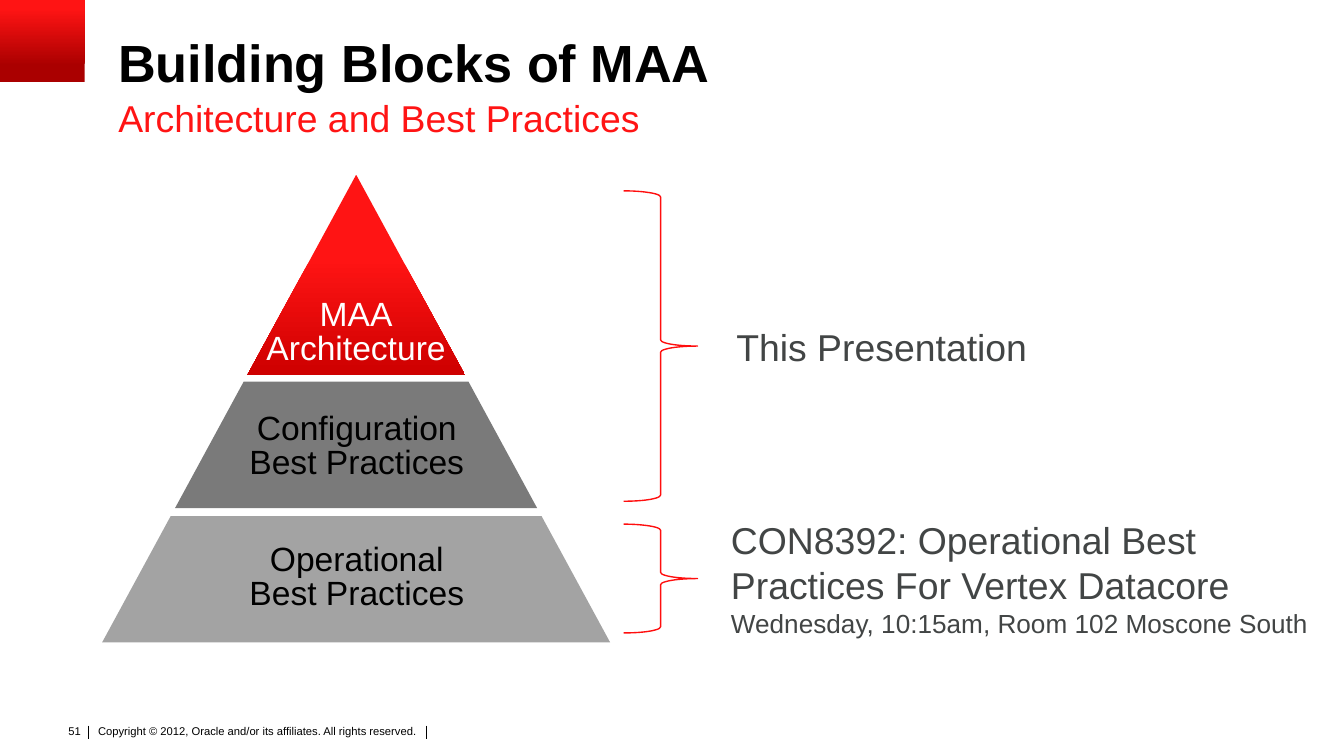
from lxml.etree import SubElement
from pptx import Presentation
from pptx.dml.color import RGBColor
from pptx.enum.shapes import MSO_CONNECTOR, MSO_SHAPE
from pptx.enum.text import MSO_ANCHOR as Anchor, MSO_AUTO_SIZE as AutoSize, PP_ALIGN as Align
from pptx.oxml.ns import qn
from pptx.util import Inches, Pt

APEX_X, APEX_Y, BASE_Y, HALF_BASE = 2.65, 1.3, 4.78, 1.89


def color(value):
    """Turn a hex string into a colour."""
    return RGBColor.from_string(value)


def write(para, text, size=18, ink="000000", bold=False, align=Align.LEFT, spacing=None):
    """Fill a paragraph with formatted text, breaking lines at newlines."""
    para.alignment = align
    para.space_before = Pt(0)
    if spacing:
        para.line_spacing = spacing
    for index, line in enumerate(text.split("\n")):
        if index:
            para.add_line_break()
        span = para.add_run()
        span.text = line
        span.font.name = "Arial"
        span.font.size = Pt(size)
        span.font.bold = bold
        span.font.color.rgb = color(ink)


def set_insets(frame, side, end):
    """Set the horizontal and vertical insets of a text frame."""
    frame.margin_left = frame.margin_right = Inches(side)
    frame.margin_top = frame.margin_bottom = Inches(end)


def add_text(page, at, lines, wrap=True, anchor=Anchor.TOP, insets=(0.1, 0.05), **style):
    """Add a text box with one paragraph per (text, size) pair."""
    box = page.shapes.add_textbox(*map(Inches, at))
    frame = box.text_frame
    frame.word_wrap = wrap
    frame.vertical_anchor = anchor
    set_insets(frame, *insets)
    for index, (text, size) in enumerate(lines):
        para = frame.add_paragraph() if index else frame.paragraphs[0]
        write(para, text, size, **style)


def fill_placeholder(box, at, text, **style):
    """Move a placeholder and give it one unbulleted line of text."""
    box.left, box.top, box.width, box.height = map(Inches, at)
    frame = box.text_frame
    frame.auto_size = AutoSize.NONE
    frame.vertical_anchor = Anchor.MIDDLE
    set_insets(frame, 0, 0)
    para = frame.paragraphs[0]
    properties = para._p.get_or_add_pPr()
    properties.set("marL", "0")
    properties.set("indent", "0")
    SubElement(properties, qn("a:buNone"))
    write(para, text, **style)


def paint(shape, fill):
    """Apply a plain colour, or an (angle, stops) gradient, without outline."""
    shape.shadow.inherit = False
    shape.line.fill.background()
    if isinstance(fill, str):
        shape.fill.solid()
        shape.fill.fore_color.rgb = color(fill)
        return
    angle, stops = fill
    shape.fill.gradient()
    shape.fill.gradient_angle = angle
    for stop, (position, value) in zip(shape.fill.gradient_stops, stops):
        stop.position = position
        stop.color.rgb = color(value)


def add_band(page, top, bottom, fill):
    """Add the slice of the pyramid between two heights."""
    slope = HALF_BASE / (BASE_Y - APEX_Y)
    upper, lower = ((y - APEX_Y) * slope for y in (top, bottom))
    corners = [(APEX_X + upper, top), (APEX_X + lower, bottom),
               (APEX_X - lower, bottom), (APEX_X - upper, top)]
    points = [(Inches(x), Inches(y)) for x, y in corners]
    builder = page.shapes.build_freeform(*points[0])
    builder.add_line_segments(points[1:], close=True)
    paint(builder.convert_to_shape(), fill)


def add_brace(page, top, height):
    """Add a red right brace beside the pyramid."""
    brace = page.shapes.add_shape(MSO_SHAPE.RIGHT_BRACE, Inches(4.64), Inches(top),
                                  Inches(0.55), Inches(height))
    brace.shadow.inherit = False
    brace.fill.background()
    brace.line.color.rgb = color("FF0E0E")
    brace.line.width = Pt(0.75)


def add_divider(page, x):
    """Add a short footer divider."""
    line = page.shapes.add_connector(MSO_CONNECTOR.STRAIGHT, Inches(x), Inches(5.4),
                                     Inches(x), Inches(5.5))
    line.line.color.rgb = color("000000")
    line.line.width = Pt(0.5)
    SubElement(line._element.spPr, qn("a:effectLst"))


def add_footer(page):
    """Add the page number, copyright line and dividers."""
    add_text(page, (0.69, 5.37, 2.74, 0.24),
             [("Copyright © 2012, Oracle and/or its affiliates. All rights reserved.", 6)],
             insets=(0.04, 0.02))
    for x in (0.66, 3.17):
        add_divider(page, x)
    add_text(page, (0.39, 5.34, 0.31, 0.2), [("51", 6)], wrap=False, align=Align.RIGHT)


def add_pyramid(page):
    """Add the three pyramid levels and their labels."""
    red = (270, [(0.42, "FF1414"), (1, "CE0000")])
    levels = [
        (APEX_Y, 2.79, red, (1.83, 2.17, 1.64, 0.62), ["MAA", "Architecture"], "FFFFFF"),
        (2.84, 3.78, "7A7A7A", (1.42, 3.02, 2.47, 0.62),
         ["Configuration\nBest Practices"], "000000"),
        (3.84, BASE_Y, "A3A3A3", (1.71, 3.99, 1.89, 0.62),
         ["Operational\nBest Practices"], "000000"),
    ]
    for top, bottom, fill, at, label, ink in levels:
        add_band(page, top, bottom, fill)
        add_text(page, at, [(text, 18) for text in label], anchor=Anchor.MIDDLE,
                 ink=ink, align=Align.CENTER, spacing=0.85)


def main():
    """Build the slide and save the deck."""
    deck = Presentation()
    deck.slide_width = Inches(10)
    deck.slide_height = deck.slide_width * 9 // 16
    page = deck.slides.add_slide(deck.slide_layouts[1])

    add_footer(page)
    corner = page.shapes.add_shape(MSO_SHAPE.RECTANGLE, 0, 0, Inches(0.63), Inches(0.61))
    paint(corner, (90, [(0.2, "AA0000"), (0.9, "FF1414")]))

    fill_placeholder(page.shapes.title, (0.88, 0.27, 9, 0.44), "Building Blocks of MAA",
                     size=28, bold=True, spacing=0.9)
    fill_placeholder(page.placeholders[1], (0.88, 0.71, 9, 0.33),
                     "Architecture and Best Practices", size=20, ink="FF1414")

    add_pyramid(page)
    add_brace(page, 1.42, 2.31)
    add_brace(page, 3.9, 0.81)
    add_text(page, (5.38, 2.36, 2.38, 0.44), [("This Presentation", 20)],
             wrap=False, ink="424545")
    add_text(page, (5.34, 3.8, 4.66, 1.01),
             [("CON8392: Operational Best Practices For Vertex Datacore", 20),
              ("Wednesday, 10:15am, Room 102 Moscone South", 14)], ink="424545")
    deck.save("out.pptx")


if __name__ == "__main__":
    main()
